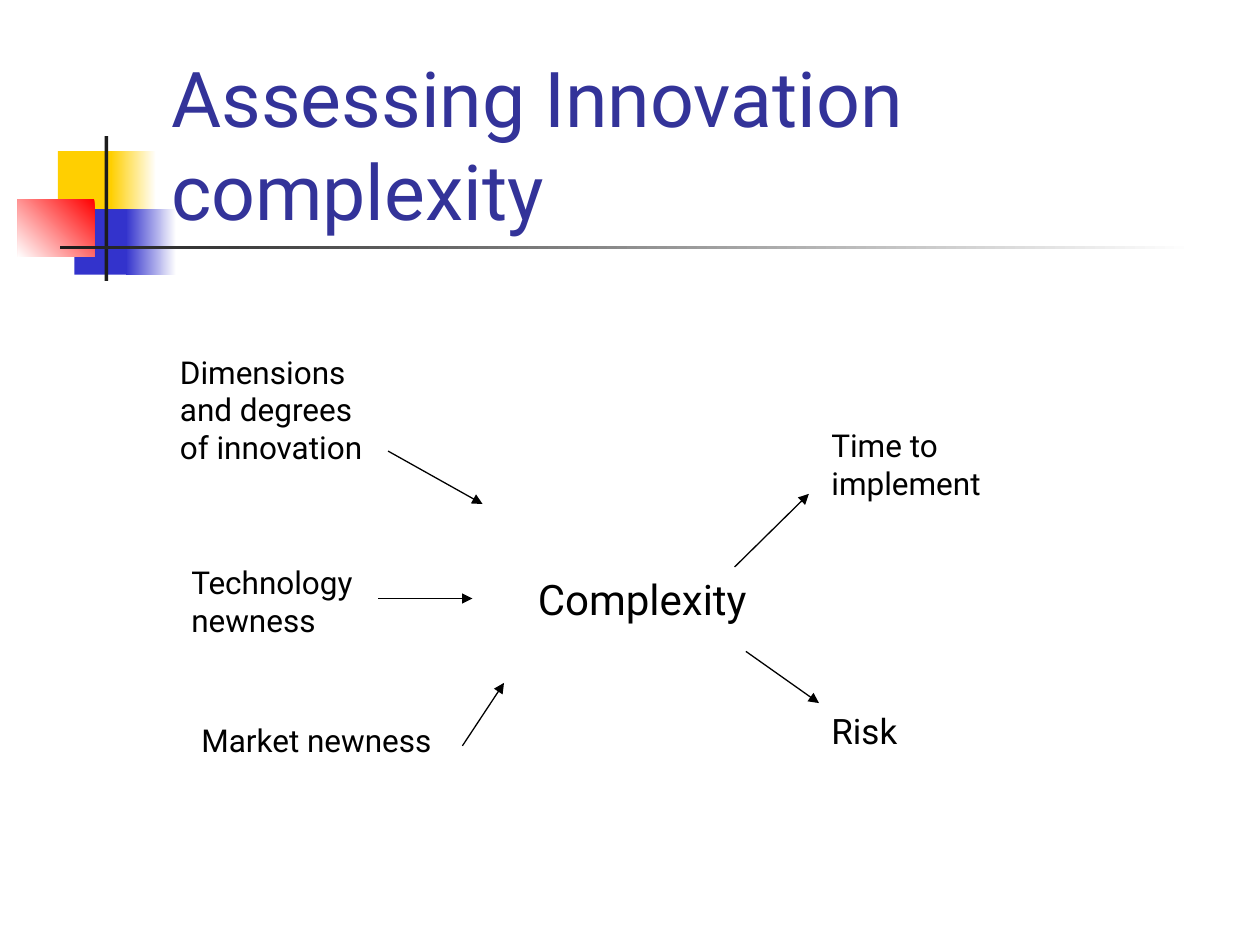
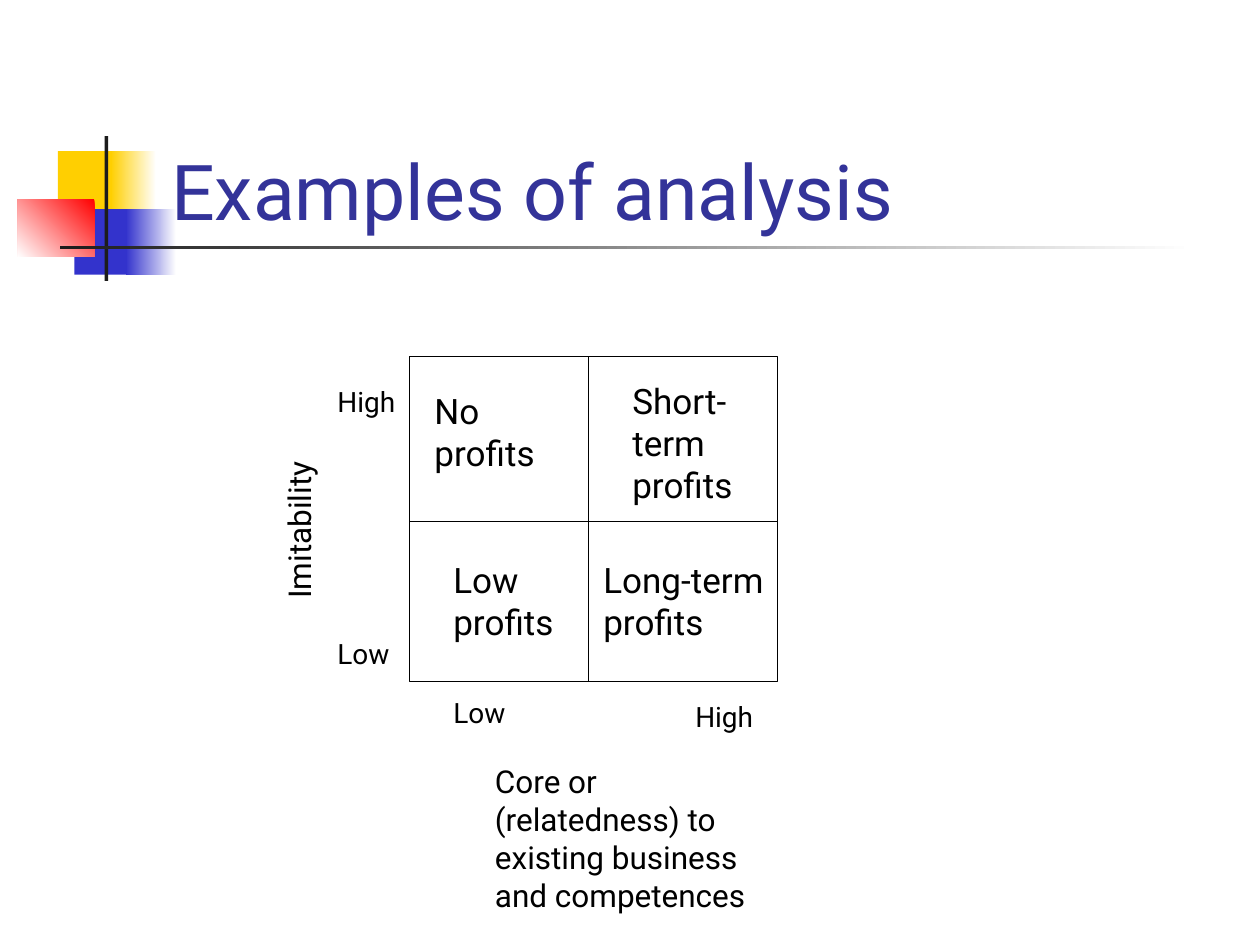
import pptx
import pptx.util
import pptx.dml.color
import pptx.enum.shapes
import pptx.enum.text
import pptx.oxml
import pptx.oxml.ns

Inches = pptx.util.Inches
RGB = pptx.dml.color.RGBColor.from_string
FONT = "Roboto"
COLORS = {
    "title": "333399", "ink": "000000", "rule": "1C1C1C", "white": "FFFFFF",
    "yellow": "FFCF01", "blue": "3333CC", "red": "FF0000",
}


def add_text(s, text, x, y, w, h, size=18, color="ink", anchor="TOP", rotation=0):
    sp = s.shapes.add_textbox(Inches(x), Inches(y), Inches(w), Inches(h))
    sp.rotation = rotation
    tf = sp.text_frame
    tf.word_wrap = True
    tf.vertical_anchor = getattr(pptx.enum.text.MSO_ANCHOR, anchor)
    r = tf.paragraphs[0].add_run()
    r.text = text
    r.font.name = FONT
    r.font.size = pptx.util.Pt(size)
    r.font.color.rgb = RGB(COLORS[color])


def add_line(s, x1, y1, x2, y2, arrow=False):
    cn = s.shapes.add_connector(pptx.enum.shapes.MSO_CONNECTOR.STRAIGHT,
                                Inches(x1), Inches(y1), Inches(x2), Inches(y2))
    cn.line.color.rgb = RGB(COLORS["ink"])
    cn.line.width = pptx.util.Pt(0.75)
    if arrow:
        tail = pptx.oxml.parse_xml(f'<a:tailEnd {pptx.oxml.ns.nsdecls("a")} type="triangle"/>')
        cn.line._get_or_add_ln().append(tail)
    cn._element.spPr.append(pptx.oxml.parse_xml(f'<a:effectLst {pptx.oxml.ns.nsdecls("a")}/>'))


prs = pptx.Presentation()
prs.slide_width, prs.slide_height = Inches(10), Inches(7.5)
RECT = pptx.enum.shapes.MSO_SHAPE.RECTANGLE

# Shared decoration: x, y, w, h, colours (one is solid, two a gradient), angle
DECORATION = [
    (0.46, 1.2, 0.48, 0.52, ["yellow"], 0),
    (0.88, 1.2, 0.36, 0.52, ["white", "yellow"], 180),
    (0.59, 1.66, 0.46, 0.52, ["blue"], 0),
    (1, 1.66, 0.4, 0.52, ["white", "blue"], 180),
    (0.14, 1.58, 0.61, 0.46, ["red", "white"], 225),
    (0.83, 1.08, 0.03, 1.15, ["rule"], 0),
    (0.48, 1.95, 9, 0.03, ["white", "rule"], 180),
]

# Both slides: decoration and title
slides = []
for title in ["Assessing Innovation complexity", "Examples of analysis"]:
    s = prs.slides.add_slide(prs.slide_layouts[6])
    for x, y, w, h, names, angle in DECORATION:
        sp = s.shapes.add_shape(RECT, Inches(x), Inches(y), Inches(w), Inches(h))
        sp.shadow.inherit = False
        sp.line.fill.background()
        if len(names) == 1:
            sp.fill.solid()
            sp.fill.fore_color.rgb = RGB(COLORS[names[0]])
        else:
            sp.fill.gradient()
            sp.fill.gradient_angle = angle
            for stop, name in zip(sp.fill.gradient_stops, names):
                stop.color.rgb = RGB(COLORS[name])
    add_text(s, title, 1.26, 0.67, 8.52, 1.25, size=44, color="title", anchor="BOTTOM")
    slides.append(s)
complexity_slide, matrix_slide = slides

# Slide 1: causes and effects of complexity
for text, x, y, w, h, size in [
    ("Dimensions and degrees of innovation", 1.33, 2.75, 1.83, 1, 18),
    ("Technology newness", 1.42, 4.42, 1.83, 0.7, 18),
    ("Market newness", 1.5, 5.67, 2.08, 0.7, 18),
    ("Complexity", 4.17, 4.5, 2.42, 0.5, 24),
    ("Time to implement", 6.5, 3.33, 1.83, 0.7, 18),
    ("Risk", 6.5, 5.58, 2, 0.44, 20),
]:
    add_text(complexity_slide, text, x, y, w, h, size=size)

for ends in [
    (3.08, 3.58, 3.83, 4),
    (3, 4.75, 3.75, 4.75),
    (3.67, 5.92, 4, 5.42),
    (5.83, 4.5, 6.42, 3.92),
    (5.92, 5.17, 6.5, 5.58),
]:
    add_line(complexity_slide, *ends, arrow=True)

# Slide 2: matrix frame and dividers
left, top, width, height = 3.25, 2.83, 2.92, 2.58
s = matrix_slide
frame = s.shapes.add_shape(RECT, Inches(left), Inches(top), Inches(width), Inches(height))
frame.shadow.inherit = False
frame.fill.background()
frame.line.color.rgb = RGB(COLORS["ink"])
frame.line.width = pptx.util.Pt(0.75)
add_line(s, left, 4.14, left + width, 4.14)
add_line(s, 4.67, top, 4.67, top + height)

# Axis titles
add_text(s, "Core or (relatedness) to existing business and competences", 3.83, 6, 2.19, 1.6)
add_text(s, "Imitability", 1.57, 3.85, 1.6, 0.4, rotation=270)

# Axis ends
for text, x, y, w in [("Low", 3.5, 5.47, 0.92), ("High", 5.42, 5.5, 1.58),
                      ("Low", 2.58, 5, 0.92), ("High", 2.58, 3, 1.58)]:
    add_text(s, text, x, y, w, 0.37, size=16)

# Quadrants
for text, x, y, w, h in [
    ("Low profits", 3.5, 4.38, 1, 1.1),
    ("Short-term profits", 4.92, 2.96, 1.08, 1.1),
    ("Long-term profits", 4.69, 4.38, 1.5, 1.1),
    ("No profits", 3.35, 3.04, 1.17, 0.77),
]:
    add_text(s, text, x, y, w, h, size=20)

prs.save("out.pptx")
